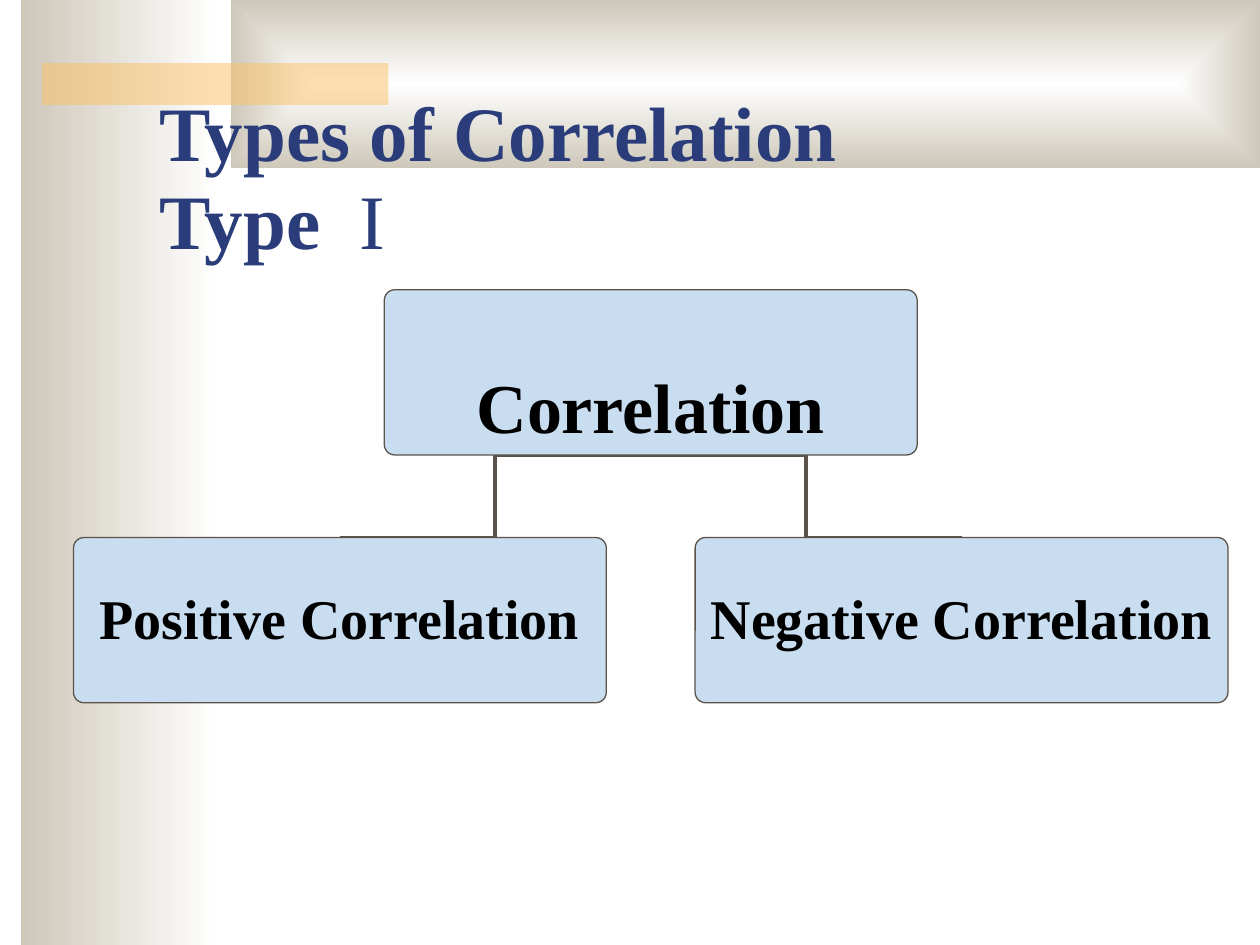
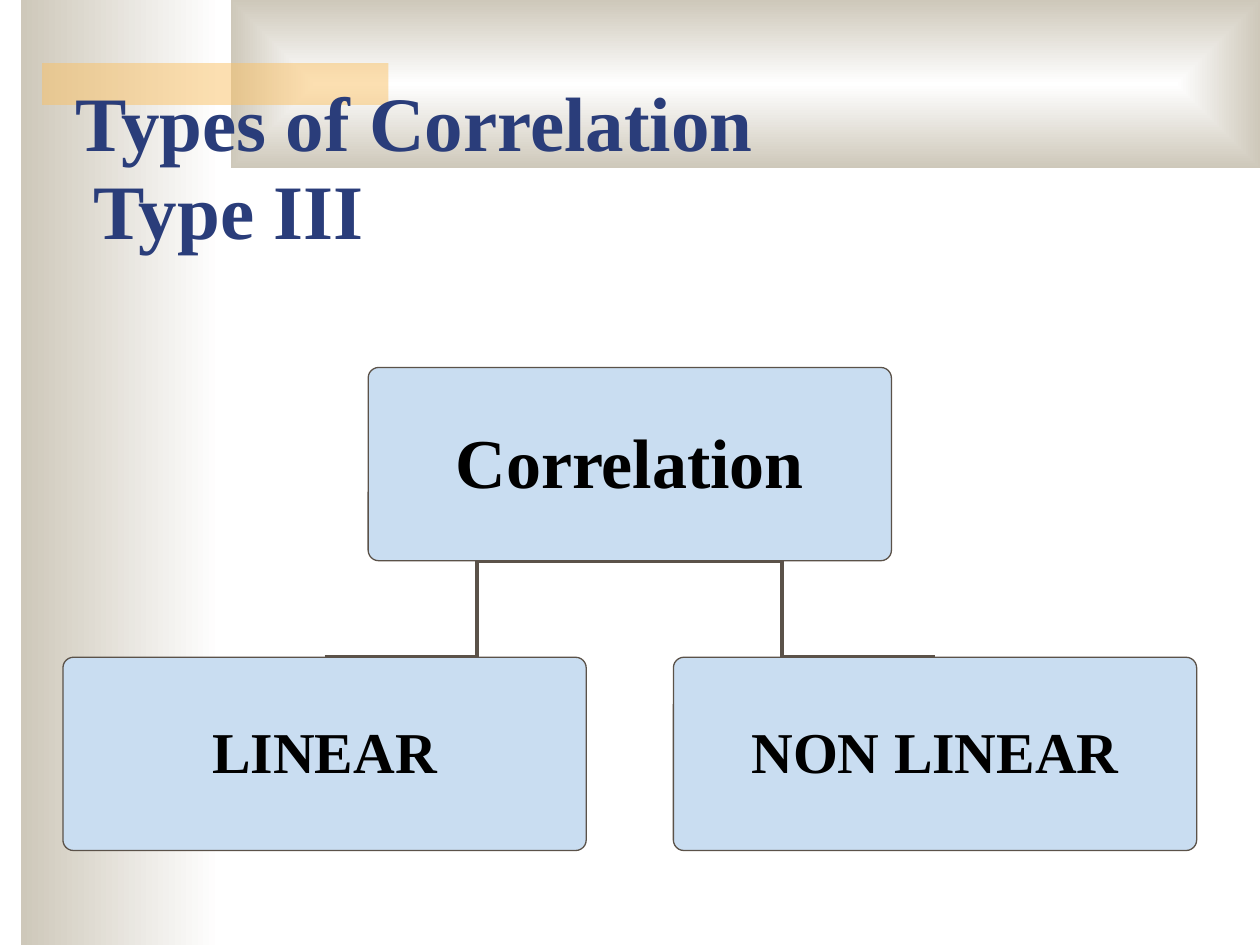
from dataclasses import dataclass

import lxml.etree
import pptx
import pptx.dml.color
import pptx.enum.shapes
import pptx.enum.text
import pptx.oxml
import pptx.oxml.ns
import pptx.util
from pptx.util import Pt

MSO_SHAPE = pptx.enum.shapes.MSO_SHAPE
ANCHOR = pptx.enum.text.MSO_ANCHOR
ALIGN = pptx.enum.text.PP_ALIGN
qn = pptx.oxml.ns.qn


@dataclass(frozen=True)
class Theme:
    font: str = "Times New Roman"
    title_color: str = "2A3D7A"
    text_color: str = "000000"
    box_fill: str = "C9DDF1"
    line_color: str = "5B5249"
    band_light: str = "FFFFFF"
    band_dark: str = "CEC8BA"
    accent: str = "FAC164"
    accent_alpha: int = 50
    title_size: float = 44
    root_size: float = 40
    outline_width: float = 0.75
    connector_width: float = 2.25
    corner_radius: float = 6
    line_spacing: float = 0.95


THEME = Theme()


@dataclass(frozen=True)
class Area:
    """A rectangle in points."""
    left: float
    top: float
    width: float
    height: float

    @property
    def center(self) -> float:
        return self.left + self.width / 2

    @property
    def bottom(self) -> float:
        return self.top + self.height

    def lengths(self) -> tuple:
        return Pt(self.left), Pt(self.top), Pt(self.width), Pt(self.height)


@dataclass(frozen=True)
class Run:
    text: str
    bold: bool = True


@dataclass(frozen=True)
class Tree:
    """A root centred over two branches; gaps follow from the box size."""
    left: float
    top: float
    box_width: float
    box_height: float
    root: str
    branches: tuple
    branch_size: float
    root_top_inset: float = 0

    def branch_area(self, index: int) -> Area:
        return Area(self.left + index * self.box_width * 7 / 6,
                    self.top + self.box_height * 3 / 2,
                    self.box_width, self.box_height)

    def root_area(self) -> Area:
        return Area(self.left + self.box_width * 7 / 12, self.top,
                    self.box_width, self.box_height)


@dataclass(frozen=True)
class CorrelationSlide:
    title_area: Area
    title_lines: tuple
    tree: Tree


SIDE_BAND = Area(12, 0, 114, 540)
TOP_BAND = Area(132, 0, 588, 96)
ACCENT_BAR = Area(24, 36, 198, 24)

SLIDES = (
    CorrelationSlide(
        Area(84, 48, 612, 108),
        ((Run("Types of Correlation"),), (Run("Type "), Run(" I", bold=False))),
        Tree(42, 165.6, 304.5, 94.4, "Correlation",
             ("Positive Correlation", "Negative Correlation"), 32, 42)),
    CorrelationSlide(
        Area(36, 42.5, 648, 108),
        ((Run("Types of Correlation"),), (Run(" Type III"),)),
        Tree(36, 210, 299, 110.4, "Correlation", ("LINEAR", "NON LINEAR"), 33)),
)


def rgb(color: str) -> pptx.dml.color.RGBColor:
    return pptx.dml.color.RGBColor.from_string(color)


def style_font(font, size: float, color: str) -> None:
    font.name = THEME.font
    font.size = Pt(size)
    font.color.rgb = rgb(color)


def set_insets(frame, horizontal: float, top: float, bottom: float) -> None:
    frame.margin_left = frame.margin_right = Pt(horizontal)
    frame.margin_top, frame.margin_bottom = Pt(top), Pt(bottom)


def add_filled(slide, kind, area: Area, color: str):
    shape = slide.shapes.add_shape(kind, *area.lengths())
    shape.shadow.inherit = False
    shape.fill.solid()
    shape.fill.fore_color.rgb = rgb(color)
    shape.line.fill.background()
    return shape


def add_gradient_band(slide, area: Area, direction: str) -> None:
    """Fill a band from light to dark along the given DrawingML direction."""
    shape = add_filled(slide, MSO_SHAPE.RECTANGLE, area, THEME.band_light)
    solid = shape._element.spPr.find(qn("a:solidFill"))
    gradient = pptx.oxml.parse_xml(
        f'<a:gradFill {pptx.oxml.ns.nsdecls("a")} rotWithShape="1"><a:gsLst>'
        f'<a:gs pos="0"><a:srgbClr val="{THEME.band_light}"/></a:gs>'
        f'<a:gs pos="100000"><a:srgbClr val="{THEME.band_dark}"/></a:gs>'
        f'</a:gsLst>{direction}</a:gradFill>')
    solid.getparent().replace(solid, gradient)


def add_backdrop(slide) -> None:
    add_gradient_band(slide, SIDE_BAND, '<a:lin ang="10800000" scaled="1"/>')
    add_gradient_band(
        slide, TOP_BAND,
        '<a:path path="rect">'
        '<a:fillToRect l="50000" t="50000" r="50000" b="50000"/></a:path>')
    bar = add_filled(slide, MSO_SHAPE.RECTANGLE, ACCENT_BAR, THEME.accent)
    color = bar._element.spPr.find(qn("a:solidFill")).find(qn("a:srgbClr"))
    lxml.etree.SubElement(color, qn("a:alpha"),
                          val=str(THEME.accent_alpha * 1000))


def add_title(slide, area: Area, lines: tuple) -> None:
    frame = slide.shapes.add_textbox(*area.lengths()).text_frame
    frame.word_wrap = True
    frame.vertical_anchor = ANCHOR.BOTTOM
    set_insets(frame, 7.2, 3.6, 3.6)
    for index, runs in enumerate(lines):
        paragraph = frame.add_paragraph() if index else frame.paragraphs[0]
        paragraph.line_spacing = THEME.line_spacing
        style_font(paragraph.font, THEME.title_size, THEME.title_color)
        for part in runs:
            run = paragraph.add_run()
            run.text = part.text
            run.font.bold = part.bold


def add_box(slide, area: Area, text: str, size: float, top_inset: float = 0) -> None:
    shape = add_filled(slide, MSO_SHAPE.ROUNDED_RECTANGLE, area, THEME.box_fill)
    shape.adjustments[0] = THEME.corner_radius / area.height
    shape.line.color.rgb = rgb(THEME.line_color)
    shape.line.width = Pt(THEME.outline_width)
    frame = shape.text_frame
    frame.word_wrap = True
    frame.vertical_anchor = ANCHOR.MIDDLE
    set_insets(frame, 0, top_inset, 0)
    paragraph = frame.paragraphs[0]
    paragraph.text = text
    paragraph.alignment = ALIGN.CENTER
    paragraph.line_spacing = THEME.line_spacing
    paragraph.font.bold = True
    style_font(paragraph.font, size, THEME.text_color)


def add_elbow(slide, branch: Area, root: Area) -> None:
    connector = slide.shapes.add_connector(
        pptx.enum.shapes.MSO_CONNECTOR.ELBOW,
        Pt(branch.center), Pt(branch.top), Pt(root.center), Pt(root.bottom))
    connector.line.color.rgb = rgb(THEME.line_color)
    connector.line.width = Pt(THEME.connector_width)
    lxml.etree.SubElement(connector._element.spPr, qn("a:effectLst"))


def add_tree(slide, tree: Tree) -> None:
    root = tree.root_area()
    areas = [tree.branch_area(index) for index in range(len(tree.branches))]
    # Connectors lie behind the boxes
    for area in areas:
        add_elbow(slide, area, root)
    add_box(slide, root, tree.root, THEME.root_size, tree.root_top_inset)
    for area, text in zip(areas, tree.branches):
        add_box(slide, area, text, tree.branch_size)


def main() -> None:
    presentation = pptx.Presentation()
    presentation.slide_width, presentation.slide_height = Pt(720), Pt(540)
    blank_layout = presentation.slide_layouts[6]
    for content in SLIDES:
        slide = presentation.slides.add_slide(blank_layout)
        add_backdrop(slide)
        add_title(slide, content.title_area, content.title_lines)
        add_tree(slide, content.tree)
    presentation.save("out.pptx")


if __name__ == "__main__":
    main()
